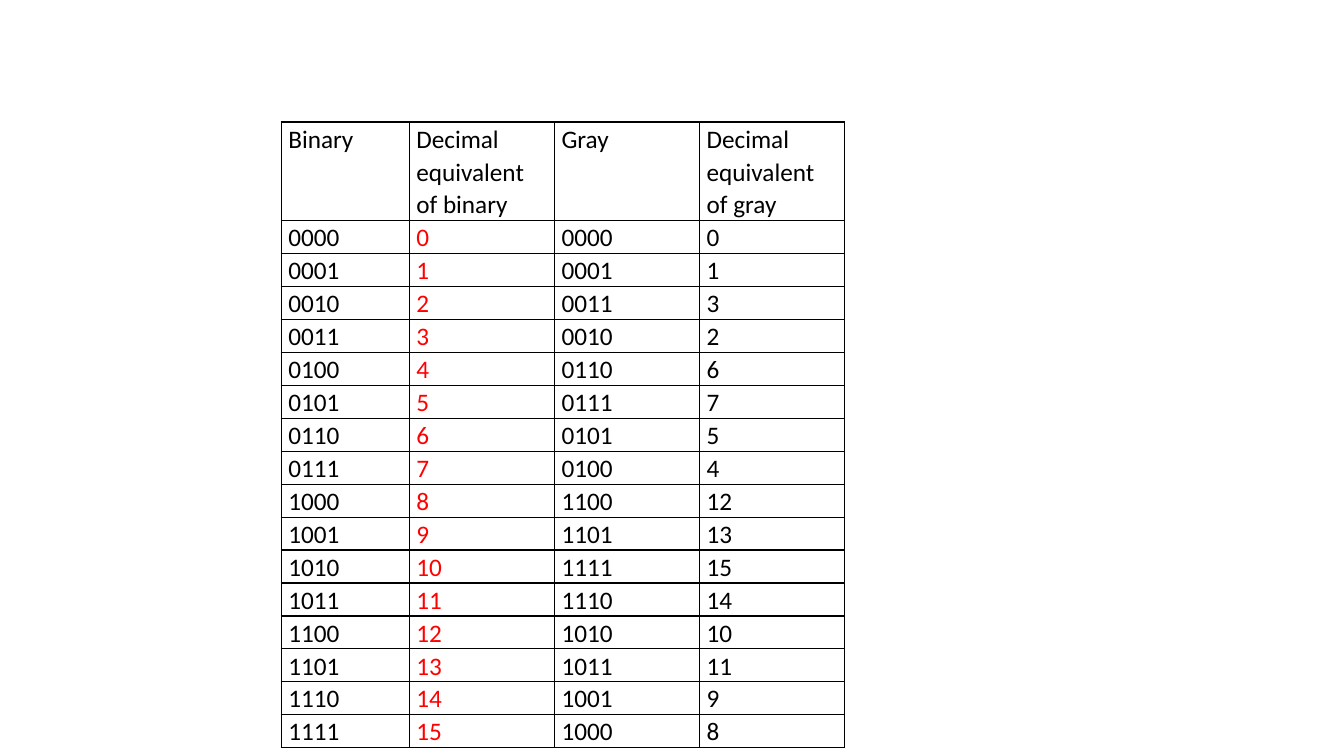
import lxml.etree
import pptx
import pptx.dml.color
import pptx.oxml.ns
import pptx.util

PX = 9144  # EMU per px, 100 px to the inch
COLORS = {"text": "000000", "binary": "FF0000", "border": "000000"}
FONT = {"name": "Calibri", "size": pptx.util.Pt(18), "bold": False}
PARAGRAPH = {"line_spacing": 1.07, "space_after": pptx.util.Pt(8)}
MARGINS = {"margin_left": 7 * PX, "margin_right": 7 * PX,
           "margin_top": 0, "margin_bottom": 0}


def apply(target, values):
    for name, value in values.items():
        setattr(target, name, value)


class SlideBuilder:
    def __init__(self, s):
        self.s = s

    def borders(self, cell):
        tcPr = cell._tc.get_or_add_tcPr()
        qn = pptx.oxml.ns.qn
        for side in ("lnL", "lnR", "lnT", "lnB"):
            ln = lxml.etree.SubElement(tcPr, qn("a:" + side), w=str(pptx.util.Pt(1)))
            fill = lxml.etree.SubElement(ln, qn("a:solidFill"))
            lxml.etree.SubElement(fill, qn("a:srgbClr"), val=COLORS["border"])

    def cell(self, cell, text, color):
        apply(cell, MARGINS)
        self.borders(cell)
        cell.fill.background()
        p = cell.text_frame.paragraphs[0]
        apply(p, PARAGRAPH)
        r = p.add_run()
        r.text = text
        apply(r.font, FONT)
        r.font.color.rgb = pptx.dml.color.RGBColor.from_string(COLORS[color])

    def table(self, left, top, widths, heights, rows, column_colors):
        box = [v * PX for v in (left, top, sum(widths), sum(heights))]
        table = self.s.shapes.add_table(len(rows), len(widths), *box).table
        apply(table, {"first_row": False, "horz_banding": False})
        for column, width in zip(table.columns, widths):
            column.width = width * PX
        for row, height in zip(table.rows, heights):
            row.height = height * PX
        for i, texts in enumerate(rows):
            for j, text in enumerate(texts):
                color = column_colors[j] if i else "text"
                self.cell(table.cell(i, j), text, color)


def main():
    prs = pptx.Presentation()
    prs.slide_width = 1333 * PX
    prs.slide_height = 750 * PX
    builder = SlideBuilder(prs.slides.add_slide(prs.slide_layouts[6]))

    # Each number beside its Gray code
    rows = [["Binary", "Decimal equivalent of binary",
             "Gray", "Decimal equivalent of gray"]]
    for n in range(16):
        gray = n ^ (n >> 1)
        rows.append([f"{n:04b}", str(n), f"{gray:04b}", str(gray)])

    # Conversion table
    builder.table(279, 121, [127, 144, 144, 144], [79] + [26] * 16, rows,
                  ["text", "binary", "text", "text"])

    prs.save("out.pptx")


if __name__ == "__main__":
    main()
